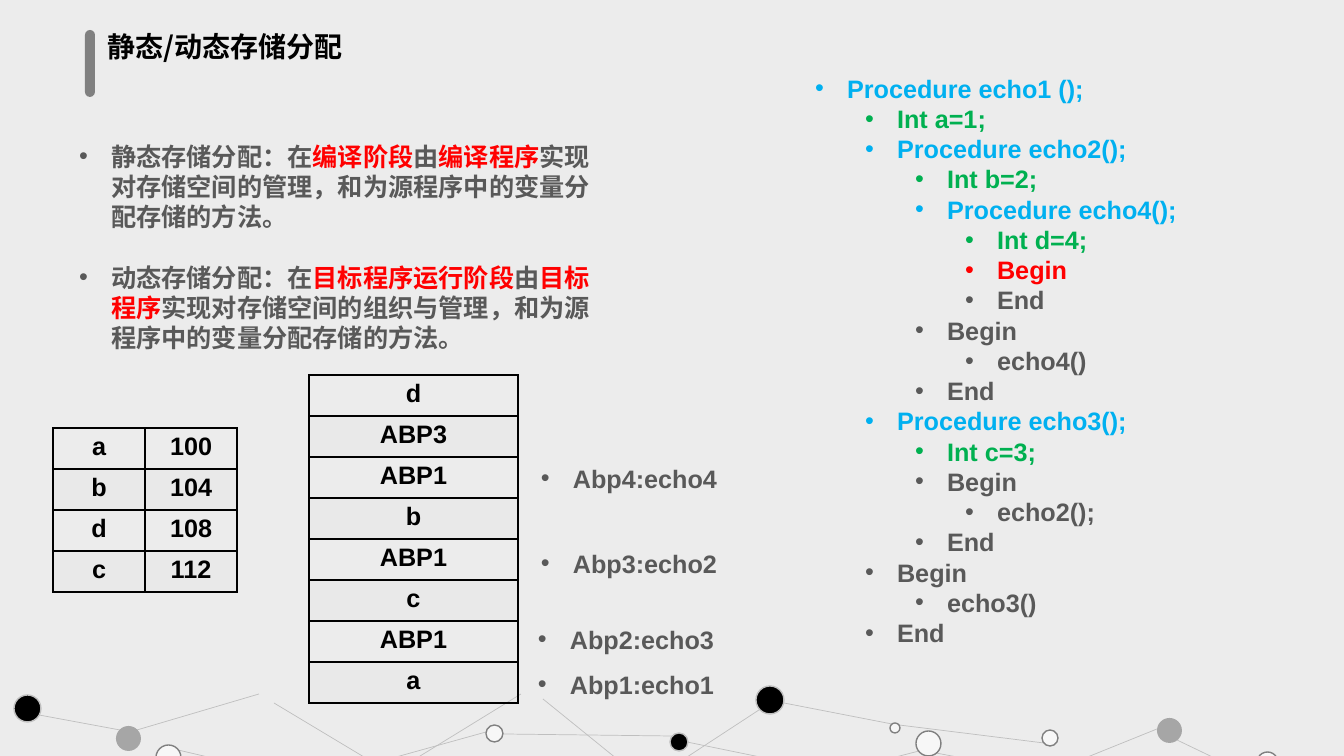
from lxml import etree
from pptx import Presentation
from pptx.dml.color import RGBColor
from pptx.enum.shapes import MSO_CONNECTOR, MSO_SHAPE
from pptx.enum.text import MSO_ANCHOR, MSO_AUTO_SIZE, PP_ALIGN
from pptx.oxml.ns import qn
from pptx.util import Emu, Pt

OVAL, ROUNDED = MSO_SHAPE.OVAL, MSO_SHAPE.ROUNDED_RECTANGLE
STRAIGHT = MSO_CONNECTOR.STRAIGHT
TOP, NO_FIT = MSO_ANCHOR.TOP, MSO_AUTO_SIZE.NONE
LEFT, CENTER = PP_ALIGN.LEFT, PP_ALIGN.CENTER
BLACK, GRAY, RED, BLUE, GREEN = "000000", "595959", "FF0000", "00B0F0", "00B050"
SILVER, WHITE, MID, PALE = "BFBFBF", "F7F7F7", "808080", "A6A6A6"

LINKS = [
    (178, 750, 310, 781), (503, 734, 672, 736), (799, 765, 687, 742),
    (822, 776, 919, 751), (310, 781, 486, 732), (936, 753, 1121, 788),
    (1279, 789, 1177, 740), (892, 724, 784, 703), (39, 715, 120, 730),
    (274, 703, 389, 772), (521, 694, 399, 769), (259, 694, 137, 730),
    (759, 710, 655, 778), (543, 699, 638, 776), (1044, 743, 899, 725),
    (996, 794, 1157, 729),
]
DOTS = [
    (156, 745, 25, WHITE, MID), (916, 731, 25, WHITE, MID),
    (670, 733, 18, BLACK, SILVER), (486, 725, 17, WHITE, MID),
    (1257, 752, 21, WHITE, MID), (14, 695, 27, BLACK, SILVER),
    (756, 686, 28, BLACK, SILVER), (1157, 718, 25, PALE, None),
    (890, 723, 10, WHITE, MID), (1042, 730, 16, WHITE, MID),
    (116, 726, 25, PALE, None),
]
DEFINITIONS = [
    (0, [("静态存储分配：在", GRAY), ("编译阶段", RED), ("由", GRAY), ("编译程序", RED),
         ("实现对存储空间的管理，和为源程序中的变量分配存储的方法。", GRAY)]),
    (0, [("动态存储分配：在", GRAY), ("目标程序运行阶段", RED), ("由", GRAY), ("目标程序", RED),
         ("实现对存储空间的组织与管理，和为源程序中的变量分配存储的方法。", GRAY)]),
]
CODE = [
    (0, "Procedure echo1 ();", BLUE), (1, "Int a=1;", GREEN),
    (1, "Procedure echo2();", BLUE), (2, "Int b=2;", GREEN),
    (2, "Procedure echo4();", BLUE), (3, "Int d=4;", GREEN),
    (3, "Begin", RED), (3, "End", GRAY), (2, "Begin", GRAY),
    (3, "echo4()", GRAY), (2, "End", GRAY), (1, "Procedure echo3();", BLUE),
    (2, "Int c=3;", GREEN), (2, "Begin", GRAY), (3, "echo2();", GRAY),
    (2, "End", GRAY), (1, "Begin", GRAY), (2, "echo3()", GRAY), (1, "End", GRAY),
]
LABELS = [
    (528, 664, "Abp1:echo1"), (528, 619, "Abp2:echo3"),
    (531, 543, "Abp3:echo2"), (531, 458, "Abp4:echo4"),
]
ADDRESSES = [("a", "100"), ("b", "104"), ("d", "108"), ("c", "112")]
STACK = [(name,) for name in ("d", "ABP3", "ABP1", "b", "ABP1", "c", "ABP1", "a")]


def px(n):
    return Emu(round(n * 914400 / 100.8))


def rgb(value):
    return RGBColor.from_string(value)


class Slide:
    """Holds the text style and the current slide, and draws its elements."""

    latin, cjk, size, leading = "Arial", "Noto Sans CJK SC", 18, 1.2
    indent, step, row = 32, 50, 41

    def __init__(self, prs, background):
        self.s = prs.slides.add_slide(prs.slide_layouts[3])
        self.s.background.fill.solid()
        self.s.background.fill.fore_color.rgb = rgb(background)

    def place(self, sp, x, y, w, h):
        sp.left, sp.top, sp.width, sp.height = px(x), px(y), px(w), px(h)

    def frame(self, sp):
        tf = sp.text_frame
        tf.word_wrap, tf.auto_size, tf.vertical_anchor = True, NO_FIT, TOP
        return tf

    def run(self, p, text, color, size=None, latin=None):
        r = p.add_run()
        r.text = text
        r.font.name, r.font.size, r.font.bold = latin or self.latin, Pt(size or self.size), True
        r.font.color.rgb = rgb(color)
        latin_tag = r.font._element.find(qn("a:latin"))
        ea = etree.Element(qn("a:ea"), typeface=self.cjk)
        latin_tag.addnext(ea)

    def title(self, text, x, y, w, h, size):
        sp = self.s.shapes.title
        self.place(sp, x, y, w, h)
        p = self.frame(sp).paragraphs[0]
        p.alignment, p.line_spacing = LEFT, Pt(size * self.leading)
        self.run(p, text, BLACK, size, self.cjk)

    def bullets(self, sp, items, gap=0):
        tf = self.frame(sp)
        for i, (level, runs) in enumerate(items):
            p = tf.add_paragraph() if i else tf.paragraphs[0]
            p.level, p.alignment = level, LEFT
            p.line_spacing = Pt(self.size * self.leading)
            p.space_before, p.space_after = Pt(gap if i else 0), Pt(0)
            pPr = p._p.get_or_add_pPr()
            pPr.set("marL", str(px(self.indent + self.step * level)))
            pPr.set("indent", str(-px(self.indent)))
            etree.SubElement(pPr, qn("a:buFont"), typeface=self.latin)
            etree.SubElement(pPr, qn("a:buChar"), char="•")
            for text, color in runs:
                self.run(p, text, color)

    def body(self, idx, items, x, y, w, h, gap=0):
        sp = self.s.placeholders[idx]
        self.place(sp, x, y, w, h)
        self.bullets(sp, items, gap)

    def label(self, text, x, y):
        sp = self.s.shapes.add_textbox(px(x), px(y), px(226), px(40))
        self.bullets(sp, [(0, [(text, GRAY)])])

    def shape(self, kind, x, y, w, h, fill, line=None):
        sp = self.s.shapes.add_shape(kind, px(x), px(y), px(w), px(h))
        sp.shadow.inherit = False
        sp.fill.solid()
        sp.fill.fore_color.rgb = rgb(fill)
        if line:
            sp.line.color.rgb, sp.line.width = rgb(line), Pt(1)
        else:
            sp.line.fill.background()
        return sp

    def link(self, x1, y1, x2, y2):
        c = self.s.shapes.add_connector(STRAIGHT, px(x1), px(y1), px(x2), px(y2))
        c.line.color.rgb, c.line.width = rgb(SILVER), Pt(0.5)
        etree.SubElement(c._element.spPr, qn("a:effectLst"))

    def cell(self, cell, text, shaded):
        if shaded:
            cell.fill.solid()
            cell.fill.fore_color.rgb = rgb("DDDDDD")
        else:
            cell.fill.background()
        tcPr = cell._tc.get_or_add_tcPr()
        for color in tcPr.iter(qn("a:srgbClr")):
            etree.SubElement(color, qn("a:alpha"), val="20000")
        for i, side in enumerate(("lnL", "lnR", "lnT", "lnB")):
            ln = etree.Element(qn("a:" + side), w=str(Pt(1)))
            fill = etree.SubElement(ln, qn("a:solidFill"))
            etree.SubElement(fill, qn("a:srgbClr"), val=BLACK)
            tcPr.insert(i, ln)
        p = cell.text_frame.paragraphs[0]
        p.alignment = CENTER
        self.run(p, text, BLACK)

    def table(self, rows, x, y, w):
        n, m = len(rows), len(rows[0])
        t = self.s.shapes.add_table(n, m, px(x), px(y), px(w), px(n * self.row)).table
        t.first_row = t.horz_banding = False
        for column in t.columns:
            column.width = px(w / m)
        for i, values in enumerate(rows):
            t.rows[i].height = px(self.row)
            for j, text in enumerate(values):
                self.cell(t.cell(i, j), text, i % 2 == 1)


def main():
    prs = Presentation()
    prs.slide_width, prs.slide_height = px(1344), px(756)
    s = Slide(prs, "ECECEC")
    for ends in LINKS:
        s.link(*ends)
    for x, y, d, fill, line in DOTS:
        s.shape(OVAL, x, y, d, d, fill, line)
    s.title("静态/动态存储分配", 97, 24, 363, 44, 20)
    bar = s.shape(ROUNDED, 85, 30, 10, 67, MID)
    bar.adjustments[0] = 0.5
    s.body(1, DEFINITIONS, 69, 136, 553, 285, gap=21.6)
    s.body(2, [(level, [(text, color)]) for level, text, color in CODE], 805, 68, 538, 621)
    s.table(ADDRESSES, 53, 428, 184)
    s.table(STACK, 309, 375, 209)
    for x, y, text in LABELS:
        s.label(text, x, y)
    prs.save("out.pptx")


if __name__ == "__main__":
    main()
